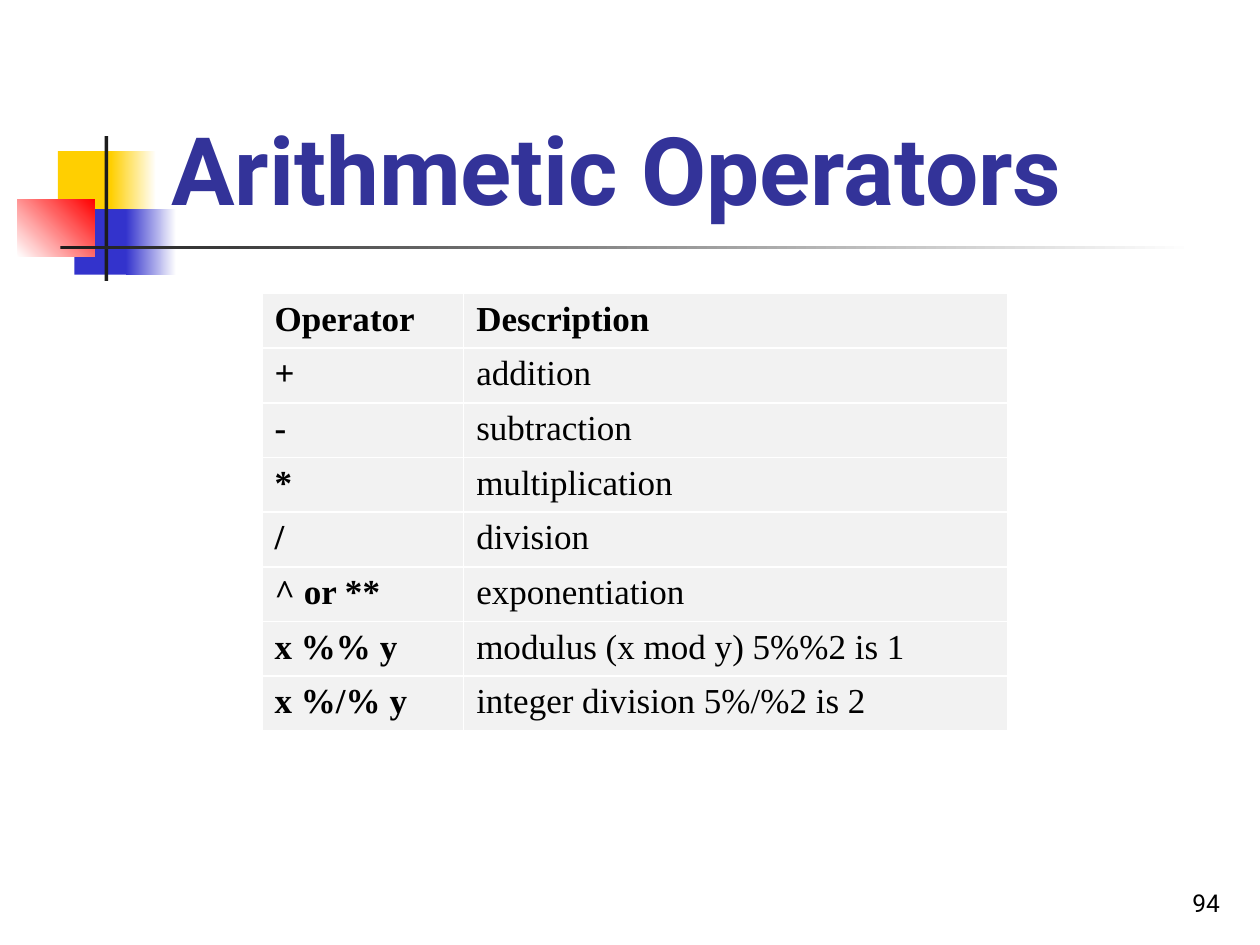
from pptx import Presentation
from pptx.dml.color import RGBColor
from pptx.enum.shapes import MSO_SHAPE as Shape
from pptx.enum.text import MSO_ANCHOR as Anchor, PP_ALIGN as Align
from pptx.util import Inches, Pt

COLORS = {
    "yellow": "FFCF01",
    "blue": "3333CC",
    "red": "FF0000",
    "dark": "1C1C1C",
    "white": "FFFFFF",
    "title": "333399",
    "text": "000000",
    "cell": "F2F2F2",
}

# Left, top, width, height, colours (two make a gradient), gradient angle
ORNAMENT = [
    (0.46, 1.2, 0.48, 0.52, ["yellow"], 0),
    (0.88, 1.2, 0.36, 0.52, ["yellow", "white"], 0),
    (0.59, 1.66, 0.46, 0.52, ["blue"], 0),
    (1, 1.66, 0.4, 0.52, ["blue", "white"], 0),
    (0.14, 1.58, 0.61, 0.46, ["white", "red"], 45),
    (0.83, 1.08, 0.03, 1.15, ["dark"], 0),
    (0.48, 1.95, 9, 0.03, ["dark", "white"], 0),
]

OPERATORS = [
    ("Operator", "Description"),
    ("+", "addition"),
    ("-", "subtraction"),
    ("*", "multiplication"),
    ("/", "division"),
    ("^ or **", "exponentiation"),
    ("x %% y", "modulus (x mod y) 5%%2 is 1"),
    ("x %/% y", "integer division 5%/%2 is 2"),
]


def color(name):
    return RGBColor.from_string(COLORS[name])


def style(para, font, size, color_name, bold=False):
    para.font.name = font
    para.font.size = Pt(size)
    para.font.bold = bold
    para.font.color.rgb = color(color_name)


def add_block(page, left, top, width, height, names, angle):
    block = page.shapes.add_shape(
        Shape.RECTANGLE, Inches(left), Inches(top), Inches(width), Inches(height))
    block.shadow.inherit = False
    block.line.fill.background()
    if len(names) == 1:
        block.fill.solid()
        block.fill.fore_color.rgb = color(names[0])
    else:
        block.fill.gradient()
        block.fill.gradient_angle = angle
        for stop, name, position in zip(block.fill.gradient_stops, names, (0, 1)):
            stop.color.rgb = color(name)
            stop.position = position


def add_text(page, left, top, width, height, text, size, color_name,
             bold=False, align=Align.LEFT):
    box = page.shapes.add_textbox(
        Inches(left), Inches(top), Inches(width), Inches(height))
    frame = box.text_frame
    frame.word_wrap = True
    frame.vertical_anchor = Anchor.BOTTOM
    para = frame.paragraphs[0]
    para.text = text
    para.alignment = align
    style(para, "Roboto", size, color_name, bold)


def add_operator_table(page):
    table = page.shapes.add_table(
        len(OPERATORS), 2, Inches(2.08), Inches(2.33), Inches(5.92), Inches(3.47)).table
    for column, width in zip(table.columns, (1.6, 4.32)):
        column.width = Inches(width)
    for row, texts in enumerate(OPERATORS):
        for col, text in enumerate(texts):
            cell = table.cell(row, col)
            cell.fill.solid()
            cell.fill.fore_color.rgb = color("cell")
            para = cell.text_frame.paragraphs[0]
            para.text = text
            # Header row and operator column are bold
            style(para, "Times New Roman", 20, "text", bold=row == 0 or col == 0)
    table.first_row = False
    table.horz_banding = False


def main():
    deck = Presentation()
    deck.slide_width = Inches(10)
    deck.slide_height = Inches(7.5)
    page = deck.slides.add_slide(deck.slide_layouts[6])

    # Corner ornament and rule
    for block in ORNAMENT:
        add_block(page, *block)

    # Page number and title
    add_text(page, 7.7, 6.83, 2.08, 0.5, "94", 14, "text", align=Align.RIGHT)
    add_text(page, 1.26, 0.23, 8.52, 1.6, "Arithmetic Operators", 54, "title", bold=True)

    # Operators
    add_operator_table(page)

    deck.save("out.pptx")


if __name__ == "__main__":
    main()
